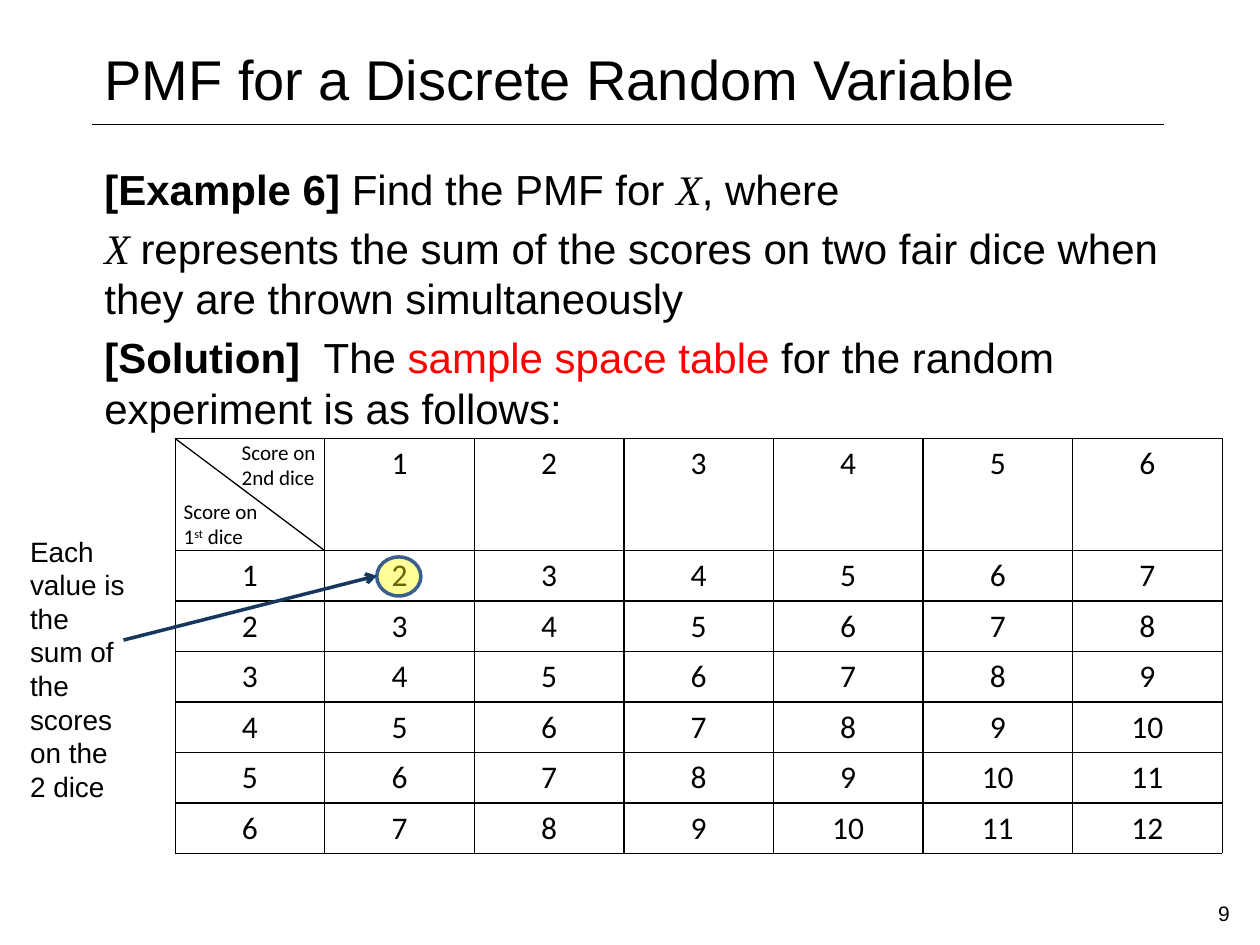
from lxml import etree
from pptx import Presentation
from pptx import util as u
from pptx.dml.color import RGBColor
from pptx.enum import shapes, text
from pptx.oxml import ns

HUES = {"ink": "000000", "red": "FF0000", "glow": "FFFF00",
        "ring": "3A5F8C", "navy": "17375E"}
INCH = u.Inches


def rgb(name):
    return RGBColor.from_string(HUES[name])


def add_xml(parent, tag, **attrs):
    return etree.SubElement(parent, ns.qn(tag), attrs)


def write(par, runs, size, face="Arial"):
    """Fill a paragraph with (words, font settings) pairs."""
    par.font.size, par.font.name = u.Pt(size), face
    par.font.color.rgb = rgb("ink")
    for words, look in runs:
        run = par.add_run()
        run.text = words
        for key, value in look.items():
            if key == "hue":
                run.font.color.rgb = rgb(value)
            elif key == "raise":
                run.font._element.set("baseline", str(value * 1000))
            else:
                setattr(run.font, key, value)


def add_text(slide, box, pars, size, face="Arial", anchor=text.MSO_ANCHOR.TOP):
    frame = slide.shapes.add_textbox(*map(INCH, box)).text_frame
    frame.word_wrap = True
    frame.vertical_anchor = anchor
    for i, runs in enumerate(pars):
        par = frame.add_paragraph() if i else frame.paragraphs[0]
        write(par, runs, size, face)
    return frame


def add_line(slide, start, end, hue, width, arrow=False):
    line = slide.shapes.add_connector(
        shapes.MSO_CONNECTOR.STRAIGHT, *map(INCH, start + end))
    line.line.color.rgb = rgb(hue)
    line.line.width = u.Pt(width)
    if arrow:
        add_xml(line.line._get_or_add_ln(), "a:tailEnd", type="arrow")
    add_xml(line._element.spPr, "a:effectLst")


def add_title(slide, x, y):
    add_text(slide, (x, y, 7.92, 0.66),
             [[("PMF for a Discrete Random Variable", {})]],
             32, anchor=text.MSO_ANCHOR.MIDDLE)
    add_line(slide, (x, y + 0.7), (x + 8.51, y + 0.7), "ink", 0.25)


def add_body(slide, box):
    bold = {"bold": True}
    var = {"name": "Times New Roman", "italic": True}
    frame = add_text(slide, box, [
        [("[Example 6] ", bold), ("Find the PMF for ", {}), ("X", var),
         (", where", {})],
        [("X ", var), ("represents the sum of the scores on two fair dice "
                       "when they are thrown simultaneously", {})],
        [("[Solution]  ", bold), ("The ", {}),
         ("sample space table ", {"hue": "red"}),
         ("for the random experiment is as follows:", {})],
    ], 24)
    for par in frame.paragraphs:
        par.space_before = u.Pt(4.8)
        par.line_spacing = 1.0


def set_edges(cell, widths):
    props = cell._tc.get_or_add_tcPr()
    for side, width in zip("LRTB", widths):
        edge = add_xml(props, "a:ln" + side, w=str(u.Pt(width)))
        fill = add_xml(edge, "a:solidFill")
        add_xml(fill, "a:srgbClr", val=HUES["ink"])


def add_sums(slide, x, y, width=8.31, head=0.89, row=0.4, faces=6):
    """Table of dice sums with a split corner cell."""
    count = faces + 1
    col = width / count
    table = slide.shapes.add_table(
        count, count, INCH(x), INCH(y), INCH(width),
        INCH(head + row * faces)).table
    table.first_row = table.horz_banding = False
    for part in table.columns:
        part.width = INCH(col)
    for i, part in enumerate(table.rows):
        part.height = INCH(row if i else head)
        for j, cell in enumerate(part.cells):
            set_edges(cell, [0.25 if outer else 1 for outer in
                             (j == 0, j == faces, i == 0, i == faces)])
            cell.fill.background()
            par = cell.text_frame.paragraphs[0]
            par.alignment = text.PP_ALIGN.CENTER
            write(par, [(str(i + j), {})] if i + j else [], 18, "Calibri")

    add_line(slide, (x, y), (x + col, y + head), "ink", 0.75)
    add_text(slide, (x - 0.03, y + 0.43, 0.84, 0.5),
             [[("Score on 1", {}), ("st", {"raise": 30}), (" dice", {})]],
             12, "Calibri")
    add_text(slide, (x + 0.43, y - 0.04, 0.89, 0.49),
             [[("Score on 2nd dice", {})]], 12, "Calibri")


def add_note(slide, x, y):
    """Side note with an arrow to the ringed first sum."""
    ring = slide.shapes.add_shape(
        shapes.MSO_SHAPE.OVAL, INCH(x + 2.85), INCH(y + 0.23),
        INCH(0.35), INCH(0.31))
    ring.shadow.inherit = False
    ring.fill.solid()
    ring.fill.fore_color.rgb = rgb("glow")
    tint = ring._element.spPr.find(ns.qn("a:solidFill"))[0]
    add_xml(tint, "a:alpha", val="40000")
    ring.line.color.rgb = rgb("ring")
    ring.line.width = u.Pt(2)
    add_line(slide, (x + 0.84, y + 0.89), (x + 2.85, y + 0.38),
             "navy", 2, arrow=True)
    add_text(slide, (x, y, 0.97, 2.26),
             [[("Each value is the sum of the scores on the 2 dice", {})]], 16)


def main():
    deck = Presentation()
    deck.slide_width, deck.slide_height = INCH(10), INCH(7.5)
    slide = deck.slides.add_slide(deck.slide_layouts[6])
    add_title(slide, 0.73, 0.29)
    add_body(slide, (0.73, 1.25, 8.82, 5.5))
    add_sums(slide, 1.39, 3.48)
    add_note(slide, 0.14, 4.19)
    add_text(slide, (9.57, 7.1, 0.43, 0.4), [[("9", {})]], 12)
    deck.save("out.pptx")


if __name__ == "__main__":
    main()
